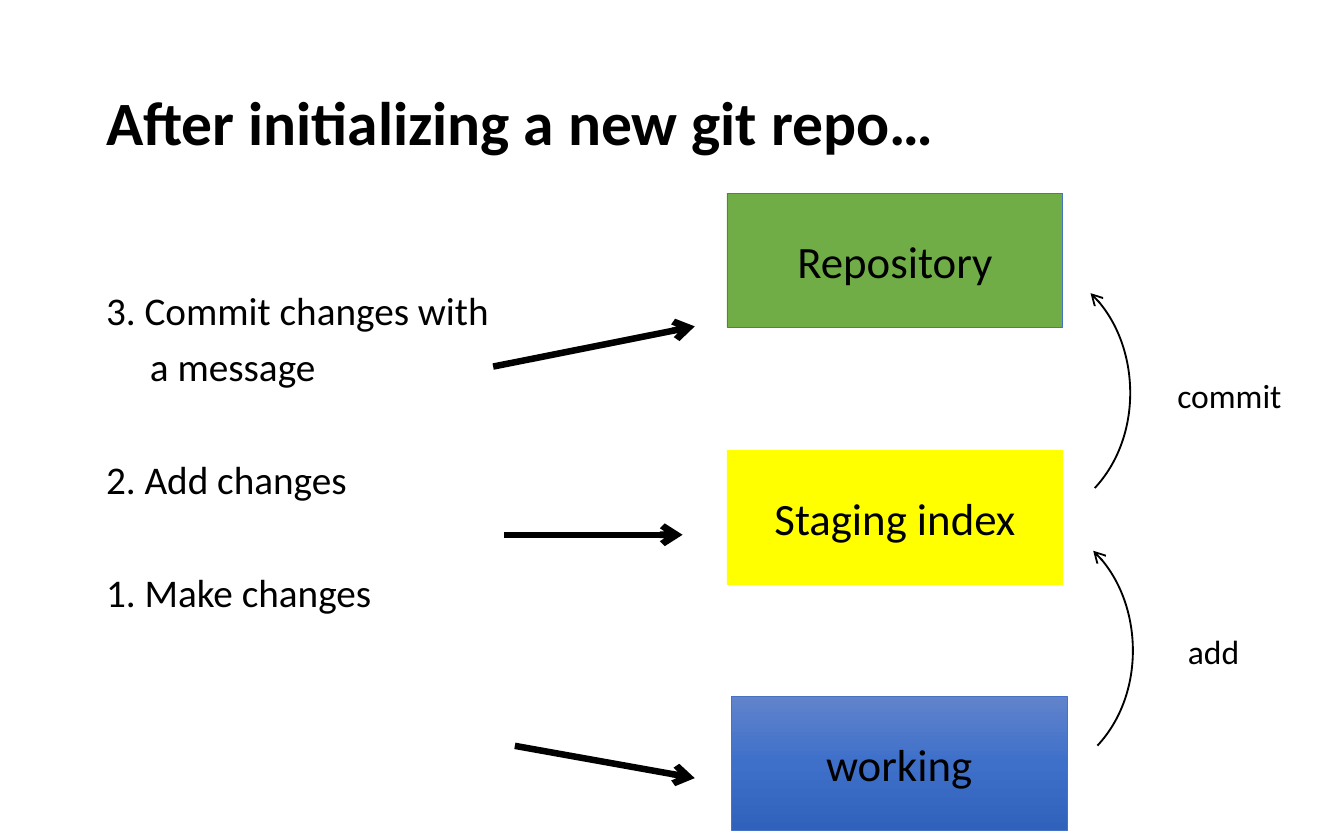
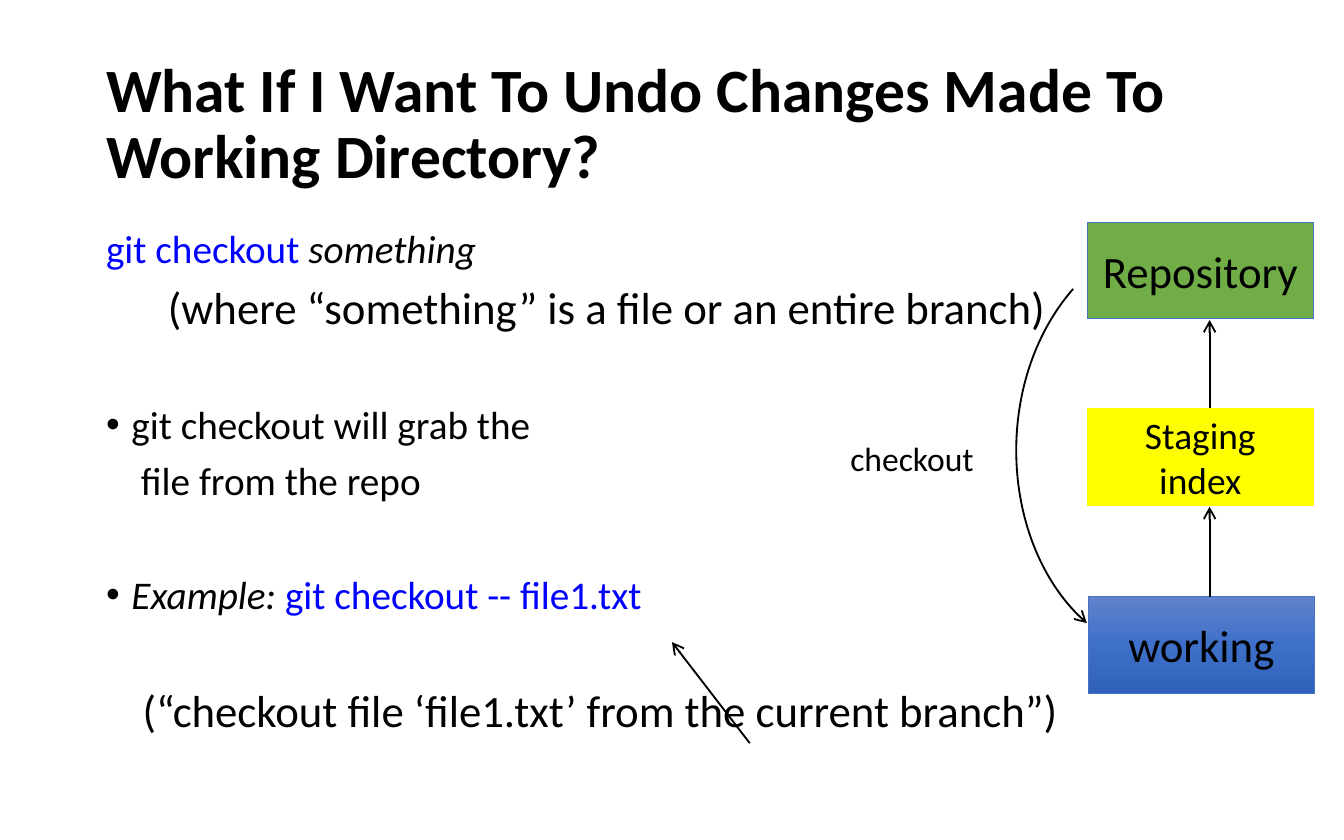
from copy import deepcopy
from dataclasses import dataclass

from lxml import etree
from pptx import Presentation, util as u
from pptx.dml.color import RGBColor
from pptx.enum import shapes, text
from pptx.oxml import ns


@dataclass(frozen=True)
class Theme:
    """Colours, fonts and type sizes of the deck."""
    font: str = "Calibri"
    ink: str = "000000"
    code: str = "0000FF"
    edge: str = "4472C4"
    green: str = "70AD47"
    yellow: str = "FFFF00"
    blues: tuple = ("6183CB", "3E70CA", "3062BB")
    head: int = 33
    big: int = 24
    mid: int = 21
    small: int = 20
    tag: int = 18
    lead: float = 0.9
    gap: float = 7.5
    skip: float = 38


T = Theme()
ALIGN = text.PP_ALIGN
BODY = (1.75, 4.22, 21.9, 10.08)


def rgb(code):
    """Return a colour from its hex code."""
    return RGBColor.from_string(code)


def cm(*sizes):
    """Return lengths in centimetres."""
    return [u.Cm(size) for size in sizes]


def mark(para, bullet, left):
    """Set the indent and bullet of a paragraph."""
    props = para._p.get_or_add_pPr()
    props.set("marL", str(u.Cm(left)))
    props.set("indent", str(-u.Cm(left) if bullet else 0))
    if bullet:
        etree.SubElement(props, ns.qn("a:buChar"), char=bullet)
    else:
        etree.SubElement(props, ns.qn("a:buNone"))


def say(frame, words, size=T.mid, color=T.ink, bold=False, italic=False,
        align=ALIGN.LEFT, lead=T.lead, gap=T.gap, left=0, bullet=None, join=False):
    """Write words as a new paragraph, or join them to the last one."""
    para = frame.paragraphs[-1]
    if not join:
        first = not para.runs
        if not first:
            para = frame.add_paragraph()
        mark(para, bullet, left)
        para.alignment = align
        para.line_spacing = lead
        para.space_before = u.Pt(0 if first else gap)
    run = para.add_run()
    run.text = words
    font = run.font
    font.name, font.size, font.color.rgb = T.font, u.Pt(size), rgb(color)
    font.bold, font.italic = bold, italic


def place(holder, spot, anchor):
    """Move a placeholder and return its text frame."""
    holder.left, holder.top, holder.width, holder.height = cm(*spot)
    frame = holder.text_frame
    frame.auto_size = text.MSO_AUTO_SIZE.NONE
    frame.word_wrap = True
    frame.vertical_anchor = anchor
    return frame


def start(deck, title, spot=BODY):
    """Add a titled slide and return it with its body frame."""
    slide = deck.slides.add_slide(deck.slide_layouts[1])
    head = place(slide.shapes.title, (1.75, 0.84, 21.9, 3.07), text.MSO_ANCHOR.MIDDLE)
    say(head, title, size=T.head, bold=True)
    return slide, place(slide.placeholders[1], spot, text.MSO_ANCHOR.TOP)


def shade(box, colors):
    """Fill a box from top to bottom with three colours."""
    box.fill.gradient()
    box.fill.gradient_angle = 270
    stop = next(box._element.iter(ns.qn("a:gs")))
    stop.addnext(deepcopy(stop))
    for i, (stop, color) in enumerate(zip(box.fill.gradient_stops, colors)):
        stop.color.rgb = rgb(color)
        stop.position = i / 2


def block(slide, words, spot, fill, edge=T.edge, size=T.big):
    """Add a filled box with centred words."""
    box = slide.shapes.add_shape(shapes.MSO_SHAPE.RECTANGLE, *cm(*spot))
    box.shadow.inherit = False
    if isinstance(fill, tuple):
        shade(box, fill)
    else:
        box.fill.solid()
        box.fill.fore_color.rgb = rgb(fill)
    box.line.color.rgb = rgb(edge)
    box.line.width = u.Pt(0.5)
    frame = box.text_frame
    frame.word_wrap = True
    frame.vertical_anchor = text.MSO_ANCHOR.MIDDLE
    say(frame, words, size=size, align=ALIGN.CENTER, lead=1)


def stack(slide, spots, size, small):
    """Add the three git areas from top to bottom."""
    repo, stage, work = spots
    block(slide, "Repository", (*repo, *size), T.green)
    block(slide, "Staging index", (*stage, *size), T.yellow, edge=T.yellow, size=small)
    block(slide, "working", (*work, *size), T.blues)


def arrow(slide, ends, width=1, kind=shapes.MSO_CONNECTOR.STRAIGHT):
    """Add a connector with an open arrowhead at its end."""
    line = slide.shapes.add_connector(kind, *cm(*ends))
    line.line.color.rgb = rgb(T.ink)
    line.line.width = u.Pt(width)
    props = line._element.spPr
    etree.SubElement(props.find(ns.qn("a:ln")), ns.qn("a:tailEnd"), type="arrow")
    etree.SubElement(props, ns.qn("a:effectLst"))
    return line


def curve(slide, spot, turn):
    """Add a bent arrow that rises across a box turned by some degrees."""
    left, top, width, height = spot
    ends = (left, top + height, left + width, top)
    props = arrow(slide, ends, kind=shapes.MSO_CONNECTOR.CURVE)._element.spPr
    props.find(ns.qn("a:prstGeom")).set("prst", "curvedConnector2")
    props.find(ns.qn("a:xfrm")).set("rot", str(turn * 60000))


def label(slide, words, left, top, width):
    """Add a one-line label beside an arrow."""
    box = slide.shapes.add_textbox(*cm(left, top, width, 1.02))
    box.text_frame.auto_size = text.MSO_AUTO_SIZE.SHAPE_TO_FIT_TEXT
    box.text_frame.word_wrap = False
    say(box.text_frame, words, size=T.tag, lead=1)


def steps(deck):
    """Build the slide on the first commit."""
    slide, body = start(deck, "After initializing a new git repo…", (1.75, 5.38, 21.9, 8.92))
    say(body, "3. Commit changes with")
    say(body, "a message", left=0.83)
    say(body, "2. Add changes", gap=T.skip)
    say(body, "1. Make changes", gap=T.skip)
    stack(slide, ((13.74, 3.65), (13.74, 8.51), (13.82, 13.16)), (6.35, 2.54), T.big)
    for left, top in ((19.33, 6.1), (19.38, 10.97)):
        curve(slide, (left, top, 2.64, 2.57), 313)
    label(slide, "add", 22.2, 11.81, 1.8)
    label(slide, "commit", 22, 6.96, 2.51)
    for ends in ((9.73, 14.1, 13.13, 14.71), (9.53, 10.11, 12.9, 10.11),
                 (9.32, 6.93, 13.13, 6.17)):
        arrow(slide, ends, width=3.5)


def undo(deck):
    """Build the slide on undoing changes."""
    slide, body = start(deck, "What If I Want To Undo Changes Made To Working Directory?")
    say(body, "git checkout ", color=T.code)
    say(body, "something", italic=True, join=True)
    say(body, "(where “something” is a file or an entire branch)", size=T.big, left=1.17)
    say(body, "git checkout will grab the", bullet="•", left=0.48, gap=T.skip)
    say(body, "file from the repo", left=0.66)
    say(body, "Example: ", italic=True, bullet="•", left=0.48, gap=T.skip)
    say(body, "git checkout -- file1.txt", color=T.code, join=True)
    say(body, "(“checkout file ‘file1.txt’ from the current branch”)",
        size=T.big, left=0.69, gap=T.skip)
    arrow(slide, (14.17, 14.05, 12.7, 12.14))
    stack(slide, ((20.55, 4.2), (20.55, 7.72), (20.57, 11.28)), (4.27, 1.83), T.small)
    for low, high in ((7.72, 6.05), (11.28, 9.58)):
        arrow(slide, (22.86, low, 22.86, high))
    curve(slide, (18.11, 6.45, 4.6, 4.34), 131)
    label(slide, "checkout", 15.82, 8.15, 2.87)


def main():
    """Build and save the deck."""
    deck = Presentation()
    deck.slide_width, deck.slide_height = cm(25.4, 15.88)
    steps(deck)
    undo(deck)
    deck.save("out.pptx")


if __name__ == "__main__":
    main()
